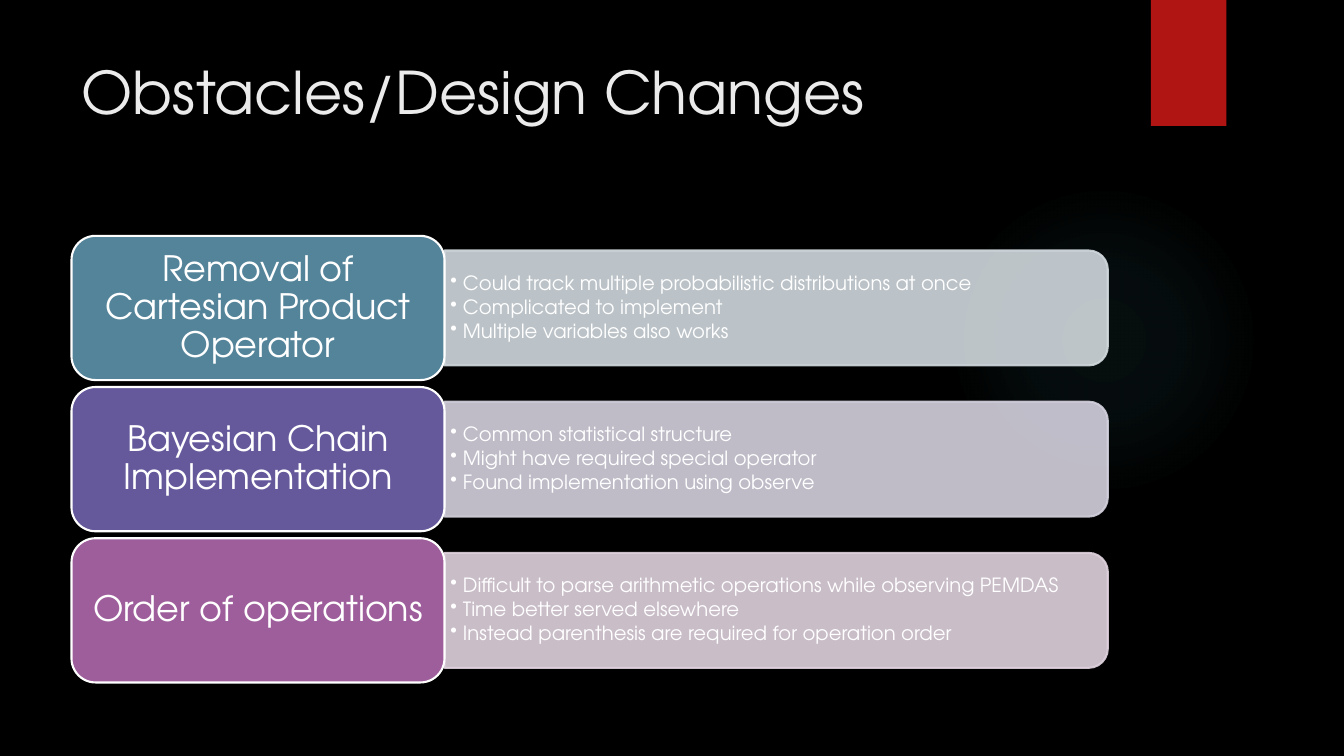
from pptx import Presentation
from pptx.dml.color import RGBColor
from pptx.enum.shapes import MSO_SHAPE as SHAPE
from pptx.enum.text import MSO_ANCHOR as ANCHOR, MSO_AUTO_SIZE as AUTO, PP_ALIGN as ALIGN
from pptx.oxml import parse_xml
from pptx.oxml.ns import nsdecls, qn
from pptx.util import Pt
from lxml.etree import SubElement

TITLE = "Obstacles/Design Changes"
ROWS = [
    ("Removal of Cartesian Product Operator", "54849A", "D1D9DE",
     ["Could track multiple probabilistic distributions at once",
      "Complicated to implement",
      "Multiple variables also works"]),
    ("Bayesian Chain Implementation", "65599C", "D4D1DE",
     ["Common statistical structure",
      "Might have required special operator",
      "Found implementation using observe"]),
    ("Order of operations", "9E5E9B", "DFD2DE",
     ["Difficult to parse arithmetic operations while observing PEMDAS",
      "Time better served elsewhere",
      "Instead parenthesis are required for operation order"]),
]
COLORS = {"bg": "000000", "title": "EBEBEB", "text": "FFFFFF",
          "ribbon": "B01513", "glow": "50B9C1"}
FONT = "TeX Gyre Adventor"
LEFT, TOP, PITCH = 51.1, 168.5, 108
LABEL_W, LABEL_H = 266.4, 103
BAR_W, BAR_H = 473.8, 82.1
TEXT_W, TEXT_H = 470.2, 74.2
INDENT = 9


def rgb(value):
    """Turn a hex string into a colour."""
    return RGBColor.from_string(value)


def add_shape(kind, x, y, w, h, fill, line=None):
    """Add a flat preset shape, outlined when a line colour is given."""
    sp = s.shapes.add_shape(kind, Pt(x), Pt(y), Pt(w), Pt(h))
    sp.shadow.inherit = False
    sp.fill.solid()
    sp.fill.fore_color.rgb = rgb(fill)
    if line:
        sp.line.color.rgb = rgb(line)
        sp.line.width = Pt(1.5)
    else:
        sp.line.fill.background()
    return sp


def set_frame(tf, anchor, dx, dy):
    """Set wrapping, anchor and insets of a text frame."""
    tf.word_wrap = True
    tf.auto_size = AUTO.NONE
    tf.vertical_anchor = anchor
    tf.margin_left = tf.margin_right = Pt(dx)
    tf.margin_top = tf.margin_bottom = Pt(dy)


def style(p, size, color, align=ALIGN.LEFT, spacing=0.9):
    """Format a paragraph and its runs."""
    p.alignment = align
    p.line_spacing = spacing
    for r in p.runs:
        r.font.size = Pt(size)
        r.font.name = FONT
        r.font.color.rgb = rgb(color)


def add_glow():
    """Add the faint round glow that fades out towards its edge."""
    sp = add_shape(SHAPE.OVAL, 677.5, 131.8, 221.8, 221.8, COLORS["glow"])
    stops = "".join(
        f'<a:gs pos="{pos}000"><a:srgbClr val="{COLORS["glow"]}">'
        f'<a:alpha val="{alpha}000"/></a:srgbClr></a:gs>'
        for pos, alpha in ((0, 7), (36, 6), (69, 0)))
    grad = parse_xml(
        f'<a:gradFill {nsdecls("a")}><a:gsLst>{stops}</a:gsLst><a:path path="circle">'
        '<a:fillToRect l="50000" t="50000" r="50000" b="50000"/></a:path></a:gradFill>')
    spPr = sp._element.spPr
    spPr.replace(spPr.find(qn("a:solidFill")), grad)


def add_bar(x, mid, color):
    """Add a translucent bar, rounded on the right by a quarter turn."""
    sp = add_shape(SHAPE.ROUND_2_SAME_RECTANGLE, x + (BAR_W - BAR_H) / 2,
                   mid - BAR_W / 2, BAR_H, BAR_W, color, color)
    sp.rotation = 90
    for clr in sp._element.spPr.iter(qn("a:srgbClr")):
        SubElement(clr, qn("a:alpha")).set("val", "90000")


def add_bullets(x, mid, items):
    """Add the bulleted text of one bar."""
    tf = s.shapes.add_textbox(Pt(x), Pt(mid - TEXT_H / 2), Pt(TEXT_W), Pt(TEXT_H)).text_frame
    set_frame(tf, ANCHOR.MIDDLE, 4.2, 2.1)
    tf.text = "\n".join(items)
    for p in tf.paragraphs:
        style(p, 14, COLORS["text"])
        p.space_after = Pt(2.1)
        pPr = p._p.get_or_add_pPr()
        pPr.set("marL", str(Pt(INDENT)))
        pPr.set("indent", str(-Pt(INDENT)))
        SubElement(pPr, qn("a:buChar")).set("char", "•")


def add_label(x, mid, text, color):
    """Add the rounded heading of one row."""
    sp = add_shape(SHAPE.ROUNDED_RECTANGLE, x, mid - LABEL_H / 2, LABEL_W, LABEL_H,
                   color, COLORS["text"])
    tf = sp.text_frame
    set_frame(tf, ANCHOR.MIDDLE, 7, 4)
    tf.text = text
    style(tf.paragraphs[0], 25, COLORS["text"], ALIGN.CENTER)


prs = Presentation()
prs.slide_width, prs.slide_height = Pt(960), Pt(540)
s = prs.slides.add_slide(prs.slide_layouts[5])
s.background.fill.solid()
s.background.fill.fore_color.rgb = rgb(COLORS["bg"])

add_glow()
add_shape(SHAPE.RECTANGLE, 822, 0, 54, 90, COLORS["ribbon"])

title = s.shapes.title
title.left, title.top, title.width, title.height = Pt(LEFT), Pt(36), Pt(741), Pt(110)
set_frame(title.text_frame, ANCHOR.TOP, 7.2, 3.6)
title.text_frame.text = TITLE
style(title.text_frame.paragraphs[0], 42, COLORS["title"], spacing=1)

for i, (label, color, tint, items) in enumerate(ROWS):
    mid = TOP + i * PITCH + LABEL_H / 2
    add_bar(LEFT + LABEL_W, mid, tint)
    add_bullets(LEFT + LABEL_W, mid, items)
    add_label(LEFT, mid, label, color)

prs.save("out.pptx")
